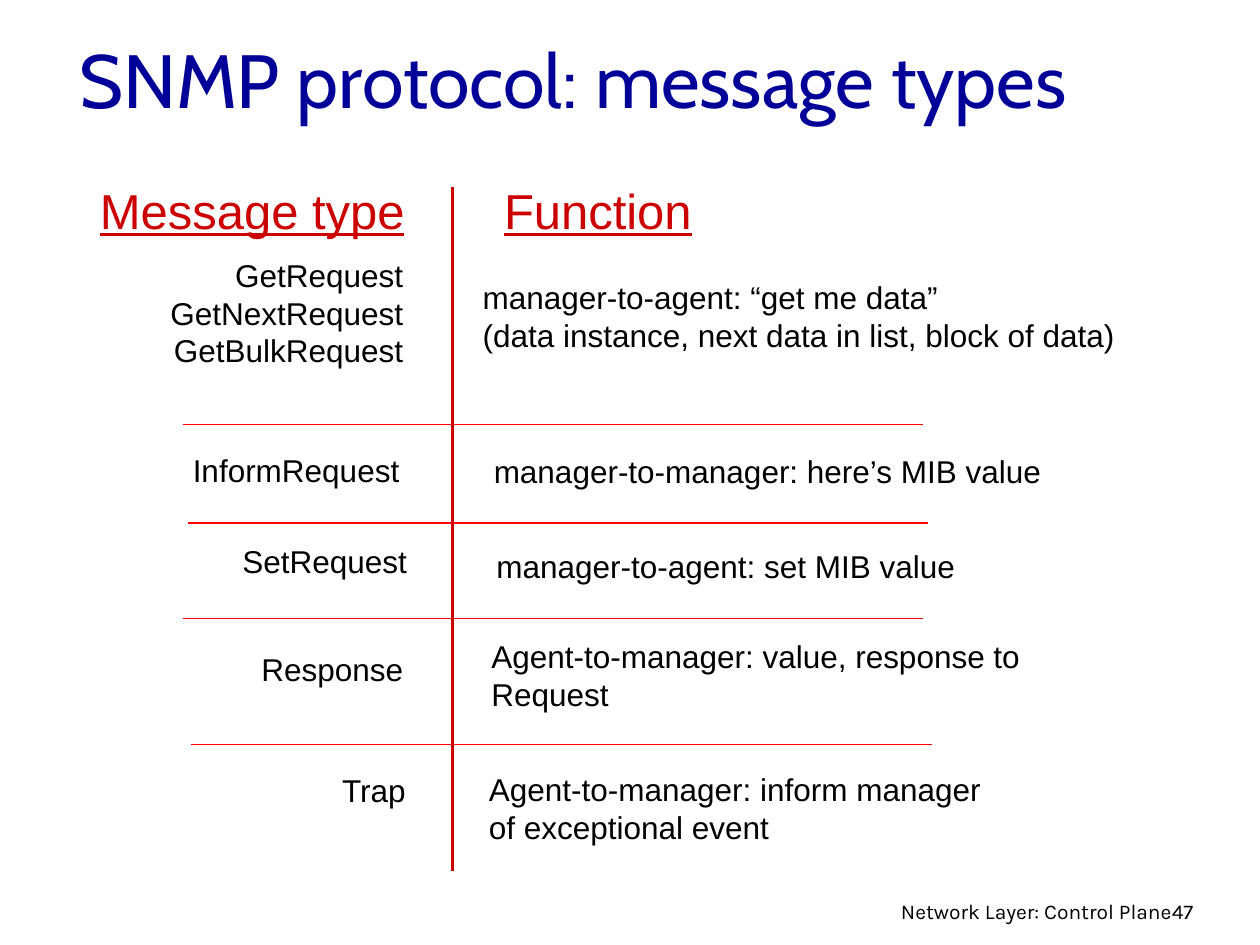
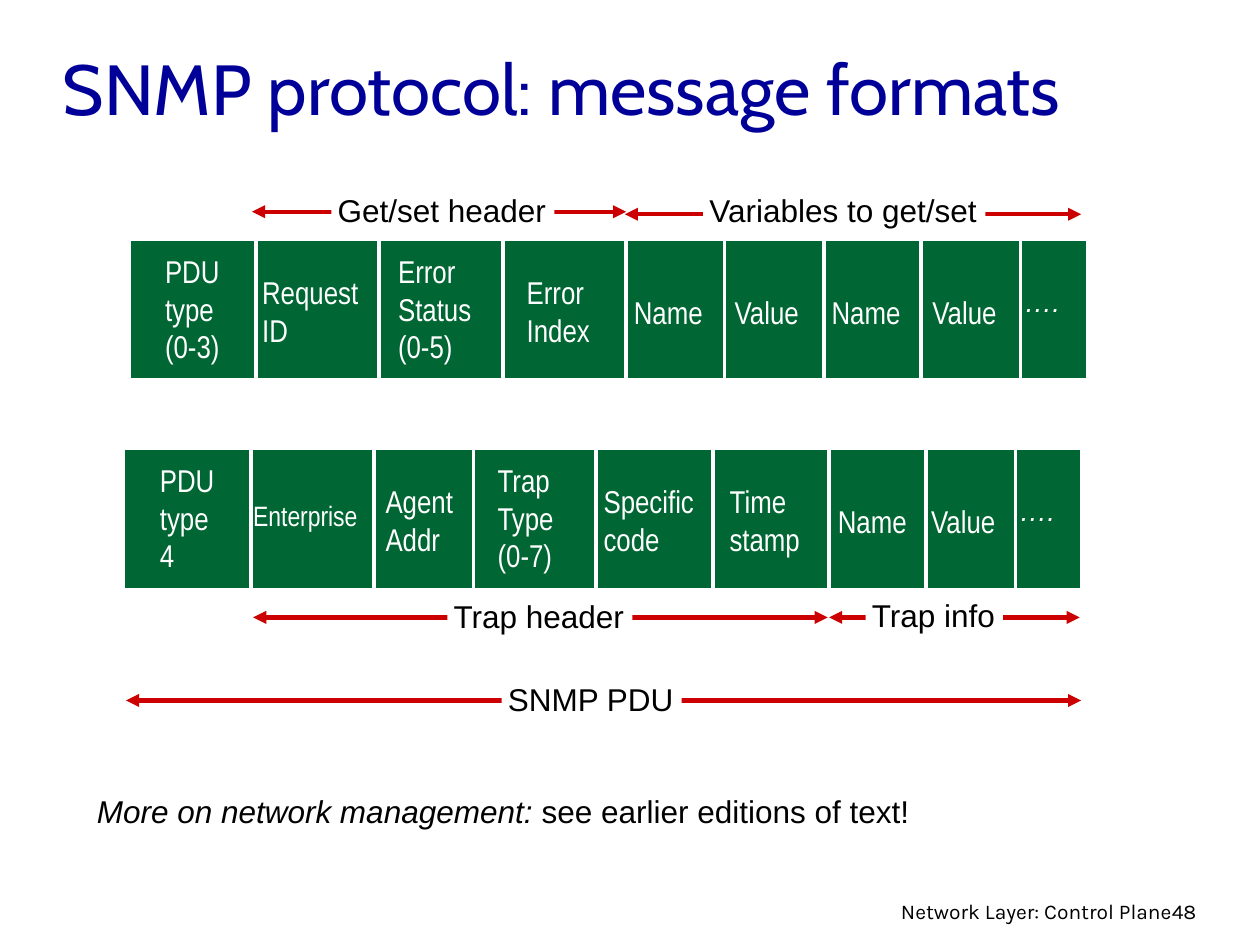
from lxml import etree
from pptx import Presentation
from pptx.dml.color import RGBColor
from pptx.enum.shapes import MSO_CONNECTOR, MSO_SHAPE
from pptx.enum.text import MSO_ANCHOR, MSO_AUTO_SIZE, PP_ALIGN
from pptx.oxml.ns import qn
from pptx.util import Pt

STRAIGHT = MSO_CONNECTOR.STRAIGHT
RECTANGLE = MSO_SHAPE.RECTANGLE
TOP, MIDDLE = MSO_ANCHOR.TOP, MSO_ANCHOR.MIDDLE
GROW = MSO_AUTO_SIZE.SHAPE_TO_FIT_TEXT
LEFT, RIGHT = PP_ALIGN.LEFT, PP_ALIGN.RIGHT

NAVY = RGBColor(0x00, 0x00, 0x99)
CRIMSON = RGBColor(0xCC, 0x00, 0x00)
RED = RGBColor(0xFF, 0x00, 0x00)
GREEN = RGBColor(0x00, 0x66, 0x33)
WHITE = RGBColor(0xFF, 0xFF, 0xFF)
BLACK = RGBColor(0x00, 0x00, 0x00)
BODY, NARROW, TITLE, FOOTER = "Arial", "Arial Narrow", "Cabin", "Karla"
INSET = 3.6

# Message types: label lines, label right edge, label top,
# function lines, function left, function top, function width
MESSAGES = [
    (["GetRequest", "GetNextRequest", "GetBulkRequest"], 234, 142.6,
     ["manager-to-agent: “get me data”",
      "(data instance, next data in list, block of data)"], 272.2, 155.5, 369.4),
    (["InformRequest"], 231.8, 254.2,
     ["manager-to-manager: here’s MIB value"], 278.6, 254.9, 355),
    (["SetRequest"], 236.2, 306,
     ["manager-to-agent: set MIB value"], 280.1, 308.9, 336.2),
    (["Response"], 234, 367.9,
     ["Agent-to-manager: value, response to", "Request"], 277.2, 360.7, 333.4),
    (["Trap"], 235.4, 437,
     ["Agent-to-manager: inform manager", "of exceptional event"], 275.8, 436.3, 377.3),
]
SEPARATORS = [(104.4, 242.6), (107.3, 298.8), (104.4, 353.5), (109.4, 425.5)]
SEPARATOR_WIDTH = 423.2
LABEL_WIDTH = 203

# Packets: fields hold text lines, left and width
PACKETS = [
    {"left": 74.2, "top": 137.5,
     "dividers": [146.2, 216.7, 287.3, 357.8, 414, 470.9, 526.3, 583.2],
     "fields": [
         (["PDU", "type", "(0-3)"], 90.7, 51), (["Request", "ID"], 146.2, 80),
         (["Error", "Status", "(0-5)"], 223.9, 64), (["Error", "Index"], 297.4, 53),
         (["Name"], 358.6, 56), (["Value"], 416.2, 53),
         (["Name"], 471.6, 56), (["Value"], 529.2, 53), (["…."], 581.8, 29)]},
    {"left": 71.3, "top": 257,
     "dividers": [143.3, 213.8, 270.7, 340.6, 407.5, 473.8, 529.2, 580.3],
     "fields": [
         (["PDU", "type", "4"], 87.8, 51), (["Enterprise"], 141.1, 81),
         (["Agent", "Addr"], 216.7, 60), (["Trap", "Type", "(0-7)"], 280.8, 53),
         (["Specific", "code"], 341.3, 76), (["Time", "stamp"], 413.3, 57),
         (["Name"], 475.2, 56), (["Value"], 528.5, 53), (["…."], 578.9, 29)]},
]
PACKET_WIDTH, PACKET_HEIGHT = 546.5, 79.2
FIELD_DROP = {1: 26.2, 2: 15, 3: 2.8}
FIELD_STYLES = {
    "Enterprise": {"size": 16, "drop": 24.5},
    "….": {"size": 16, "drop": 28.8, "font": BODY, "italic": True, "spacing": 12},
}

# Extents: text, arrow start, arrow end, arrow y, label left, label top, label width
EXTENTS = [
    ("Trap header", 144.7, 473, 352.8, 255.6, 337.7, 105.8),
    ("Trap info", 473.8, 617, 352.8, 494.6, 337, 78.5),
    ("Get/set header", 144, 357.8, 121, 189.4, 105.8, 127.4),
    ("Variables to get/set", 357.1, 617.8, 122.4, 401.8, 105.8, 161.3),
    ("SNMP PDU", 72, 617.8, 400.3, 286.6, 385.2, 103),
]


def write(page, lines, left, top, width, height=None, size=18, font=BODY,
          color=BLACK, align=LEFT, anchor=TOP, wrap=True, fill=None,
          underline=None, italic=None, spacing=None):
    """Put lines in a box; a line is a string or a list of (text, italic) spans."""
    grows = height is None
    if grows:
        height = (spacing or size * 1.15) * len(lines) + 2 * INSET
    place = Pt(left), Pt(top), Pt(width), Pt(height)
    if fill is None:
        box = page.shapes.add_textbox(*place)
    else:
        box = add_rectangle(page, *place, fill)
    frame = box.text_frame
    frame.word_wrap = wrap
    frame.auto_size = GROW if grows else MSO_AUTO_SIZE.NONE
    frame.vertical_anchor = anchor
    frame.margin_left = frame.margin_right = Pt(INSET)
    frame.margin_top = frame.margin_bottom = Pt(INSET)
    for index, line in enumerate(lines):
        para = frame.add_paragraph() if index else frame.paragraphs[0]
        para.alignment = align
        if spacing:
            para.line_spacing = Pt(spacing)
        for text, slanted in [(line, italic)] if isinstance(line, str) else line:
            span = para.add_run()
            span.text = text
            span.font.name, span.font.size = font, Pt(size)
            span.font.color.rgb = color
            span.font.underline, span.font.italic = underline, slanted
    return box


def add_rectangle(page, left, top, width, height, fill):
    box = page.shapes.add_shape(RECTANGLE, left, top, width, height)
    box.shadow.inherit = False
    box.fill.solid()
    box.fill.fore_color.rgb = fill
    box.line.fill.background()
    return box


def draw_line(page, x1, y1, x2, y2, color, weight, arrows=False):
    line = page.shapes.add_connector(STRAIGHT, Pt(x1), Pt(y1), Pt(x2), Pt(y2))
    line.line.color.rgb = color
    line.line.width = Pt(weight)
    properties = line._element.spPr
    if arrows:
        outline = properties.find(qn("a:ln"))
        for end in ("a:headEnd", "a:tailEnd"):
            etree.SubElement(outline, qn(end), type="triangle")
    etree.SubElement(properties, qn("a:effectLst"))


def add_page(deck, title, number, left, top, height, size):
    page = deck.slides.add_slide(deck.slide_layouts[6])
    write(page, [title], left, top, 612, height, size=size, font=TITLE,
          color=NAVY, anchor=MIDDLE)
    write(page, [str(number)], 666, 509.8, 28.1, size=12, font=FOOTER, wrap=False)
    write(page, ["Network Layer: Control Plane"], 501.8, 509.8, 171.4,
          size=12, font=FOOTER, align=RIGHT)
    return page


def build_message_types(deck):
    page = add_page(deck, "SNMP protocol: message types", 47, 41.8, 0, 90, 43.1)
    # Column headings
    heading = {"size": 28, "color": CRIMSON, "underline": True, "wrap": False}
    write(page, ["Message type"], 52.6, 99.4, 182.2, align=RIGHT, **heading)
    write(page, ["Function"], 284.4, 99.4, 115.9, **heading)
    # Rows
    for labels, right, label_top, functions, left, top, width in MESSAGES:
        write(page, labels, right - LABEL_WIDTH, label_top, LABEL_WIDTH, align=RIGHT)
        write(page, functions, left, top, width, wrap=len(labels) == 1)
    # Rules between rows and columns
    for left, y in SEPARATORS:
        draw_line(page, left, y, left + SEPARATOR_WIDTH, y, RED, 1)
    draw_line(page, 258.5, 106.6, 258.5, 497.5, CRIMSON, 2)


def draw_packet(page, packet):
    top = packet["top"]
    band = add_rectangle(page, Pt(packet["left"]), Pt(top), Pt(PACKET_WIDTH),
                         Pt(PACKET_HEIGHT), GREEN)
    band.line.color.rgb = WHITE
    band.line.width = Pt(0.75)
    for x in packet["dividers"]:
        draw_line(page, x, top, x, top + PACKET_HEIGHT + 1, WHITE, 2)
    for lines, left, width in packet["fields"]:
        style = {"font": NARROW, "drop": FIELD_DROP[len(lines)]}
        style.update(FIELD_STYLES.get(lines[0], {}))
        drop = style.pop("drop")
        write(page, lines, left, top + drop, width, color=WHITE, wrap=False, **style)


def build_message_formats(deck):
    page = add_page(deck, "SNMP protocol: message formats", 48, 32.4, 17.3, 65.5, 40.5)
    for packet in PACKETS:
        draw_packet(page, packet)
    # Arrows first, so that every label covers the middle of its arrow
    for _, start, end, y, *_ in EXTENTS:
        draw_line(page, start, y, end, y, CRIMSON, 2.5, arrows=True)
    for text, _, _, _, left, top, width in EXTENTS:
        write(page, [text], left, top, width, wrap=False, fill=WHITE)
    # Closing remark
    remark = [("More on network management: ", True),
              ("see earlier editions of text!", False)]
    write(page, [remark], 51.8, 449.3, 472.3, wrap=False)


def main():
    deck = Presentation()
    deck.slide_width, deck.slide_height = Pt(720), Pt(540)
    build_message_types(deck)
    build_message_formats(deck)
    deck.save("out.pptx")


if __name__ == "__main__":
    main()
